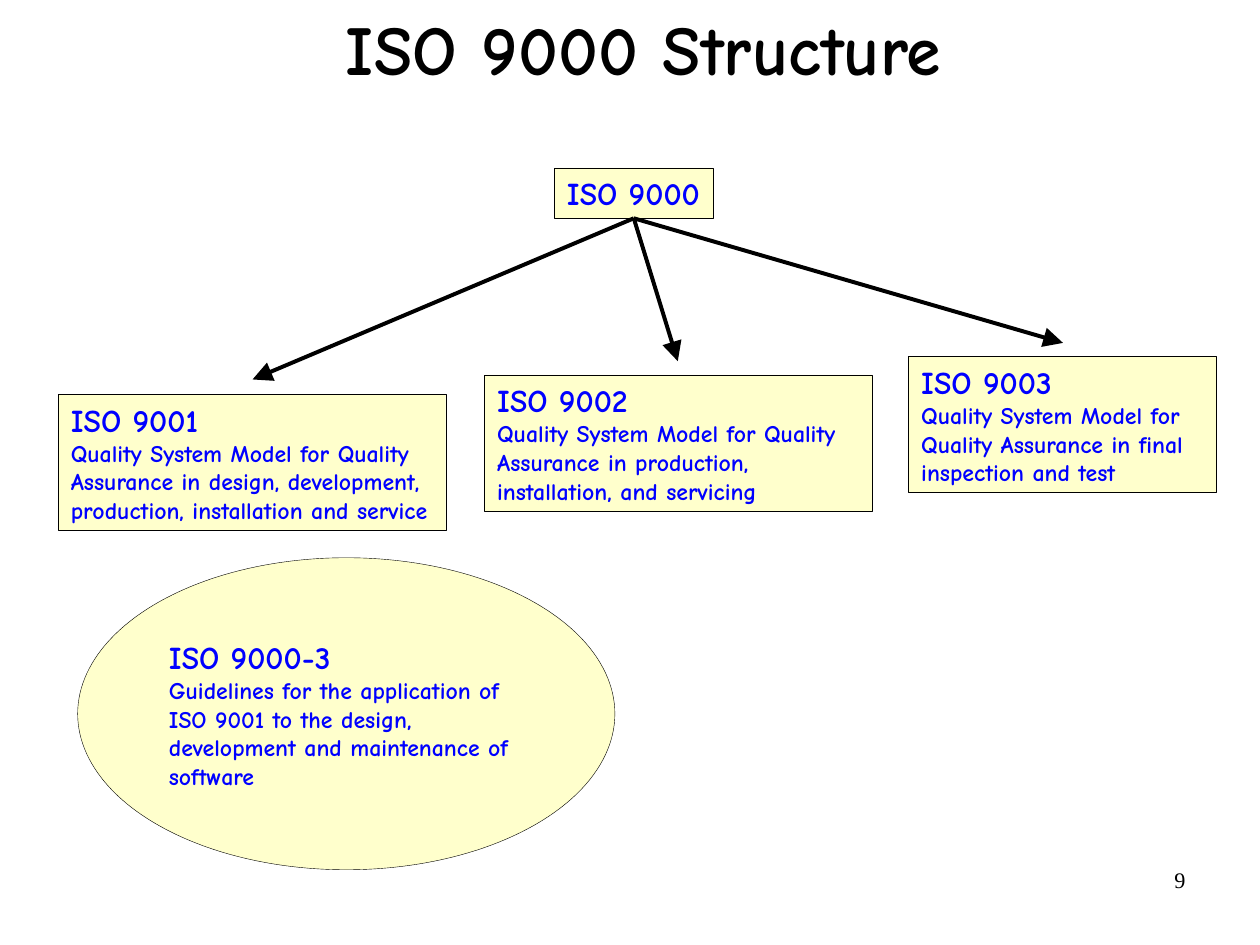
from lxml.etree import SubElement
from pptx import Presentation
from pptx.dml.color import RGBColor
from pptx.enum.shapes import MSO_CONNECTOR, MSO_SHAPE
from pptx.enum.text import MSO_ANCHOR, MSO_AUTO_SIZE, PP_ALIGN
from pptx.oxml.ns import qn
from pptx.util import Cm, Pt

PX = 9144  # 100 px to the inch
BLACK = RGBColor(0x00, 0x00, 0x00)
BLUE = RGBColor(0x00, 0x00, 0xFF)
CREAM = RGBColor(0xFF, 0xFF, 0xCC)
COMIC, TIMES = "Comic Neue", "Times New Roman"

TITLE = "ISO 9000 Structure"
PAGE_NUMBER = "9"
ROOT = ("ISO 9000", (485, 147, 139, 44))
# heading, description, box, arrow tip
STANDARDS = [
    ("ISO 9001", "Quality System Model for Quality Assurance in design, development, "
     "production, installation and service", (51, 345, 339, 119), (221, 332)),
    ("ISO 9002", "Quality System Model for Quality Assurance in production, "
     "installation, and servicing", (424, 328, 339, 119), (593, 316)),
    ("ISO 9003", "Quality System Model for Quality Assurance in final "
     "inspection and test", (795, 312, 269, 119), (930, 300)),
]
GUIDELINE = ("ISO 9000-3", "Guidelines for the application of ISO 9001 to the design, "
             "development and maintenance of software", (68, 488, 470, 273))


def emu(box):
    return [v * PX for v in box]


def set_frame(tf, anchor=MSO_ANCHOR.MIDDLE, inset=(11, 6), wrap=True):
    tf.word_wrap = wrap
    tf.vertical_anchor = anchor
    tf.margin_left = tf.margin_right = inset[0] * PX
    tf.margin_top = tf.margin_bottom = inset[1] * PX


def add_run(p, text, size, color, font=COMIC, bold=True, align=PP_ALIGN.LEFT):
    p.alignment = align
    r = p.add_run()
    r.text = text
    r.font.name, r.font.size, r.font.bold = font, Pt(size), bold
    r.font.color.rgb = color


def add_node(s, kind, box, heading, description=None, wrap=True):
    sp = s.shapes.add_shape(kind, *emu(box))
    sp.shadow.inherit = False
    sp.fill.solid()
    sp.fill.fore_color.rgb = CREAM
    sp.line.color.rgb = BLACK
    sp.line.width = Pt(0.25)
    tf = sp.text_frame
    set_frame(tf, wrap=wrap)
    if kind == MSO_SHAPE.RECTANGLE:
        tf.auto_size = MSO_AUTO_SIZE.SHAPE_TO_FIT_TEXT
    add_run(tf.paragraphs[0], heading, 20, BLUE)
    if description:
        add_run(tf.add_paragraph(), description, 15, BLUE)
    return sp


def add_arrow(s, root, tip):
    x, y = emu(tip)
    c = s.shapes.add_connector(MSO_CONNECTOR.STRAIGHT, x, y, x, y)
    c.begin_connect(root, 2)
    c.line.color.rgb = BLACK
    c.line.width = Pt(2.5)
    props = c._element.spPr
    SubElement(props.find(qn("a:ln")), qn("a:tailEnd"), type="triangle", w="lg", len="lg")
    SubElement(props, qn("a:effectLst"))


def main():
    prs = Presentation()
    prs.slide_width, prs.slide_height = Cm(28), Cm(21)
    s = prs.slides.add_slide(prs.slide_layouts[6])

    tf = s.shapes.add_textbox(*emu((790, 753, 257, 57))).text_frame
    set_frame(tf, MSO_ANCHOR.TOP, (10, 5))
    add_run(tf.paragraphs[0], PAGE_NUMBER, 14, BLACK, TIMES, False, PP_ALIGN.RIGHT)

    tf = s.shapes.add_textbox(*emu((93, -28, 940, 150))).text_frame
    set_frame(tf)
    tf.paragraphs[0].line_spacing = 0.88
    add_run(tf.paragraphs[0], TITLE, 44, BLACK, align=PP_ALIGN.CENTER)

    heading, box = ROOT
    root = add_node(s, MSO_SHAPE.RECTANGLE, box, heading, wrap=False)
    for heading, description, box, _ in STANDARDS:
        add_node(s, MSO_SHAPE.RECTANGLE, box, heading, description)
    heading, description, box = GUIDELINE
    add_node(s, MSO_SHAPE.OVAL, box, heading, description)
    for *_, tip in STANDARDS:
        add_arrow(s, root, tip)

    prs.save("out.pptx")


if __name__ == "__main__":
    main()
